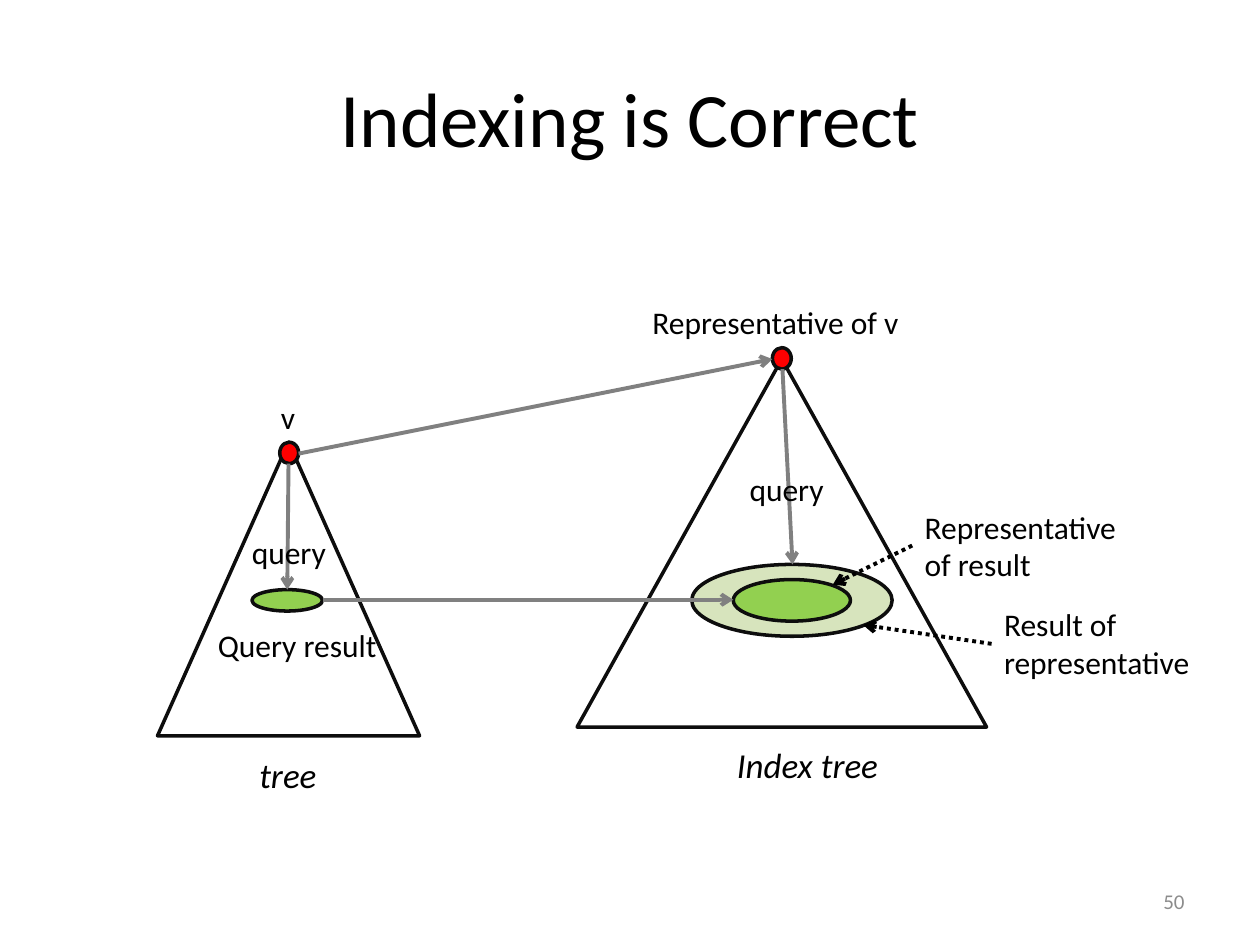
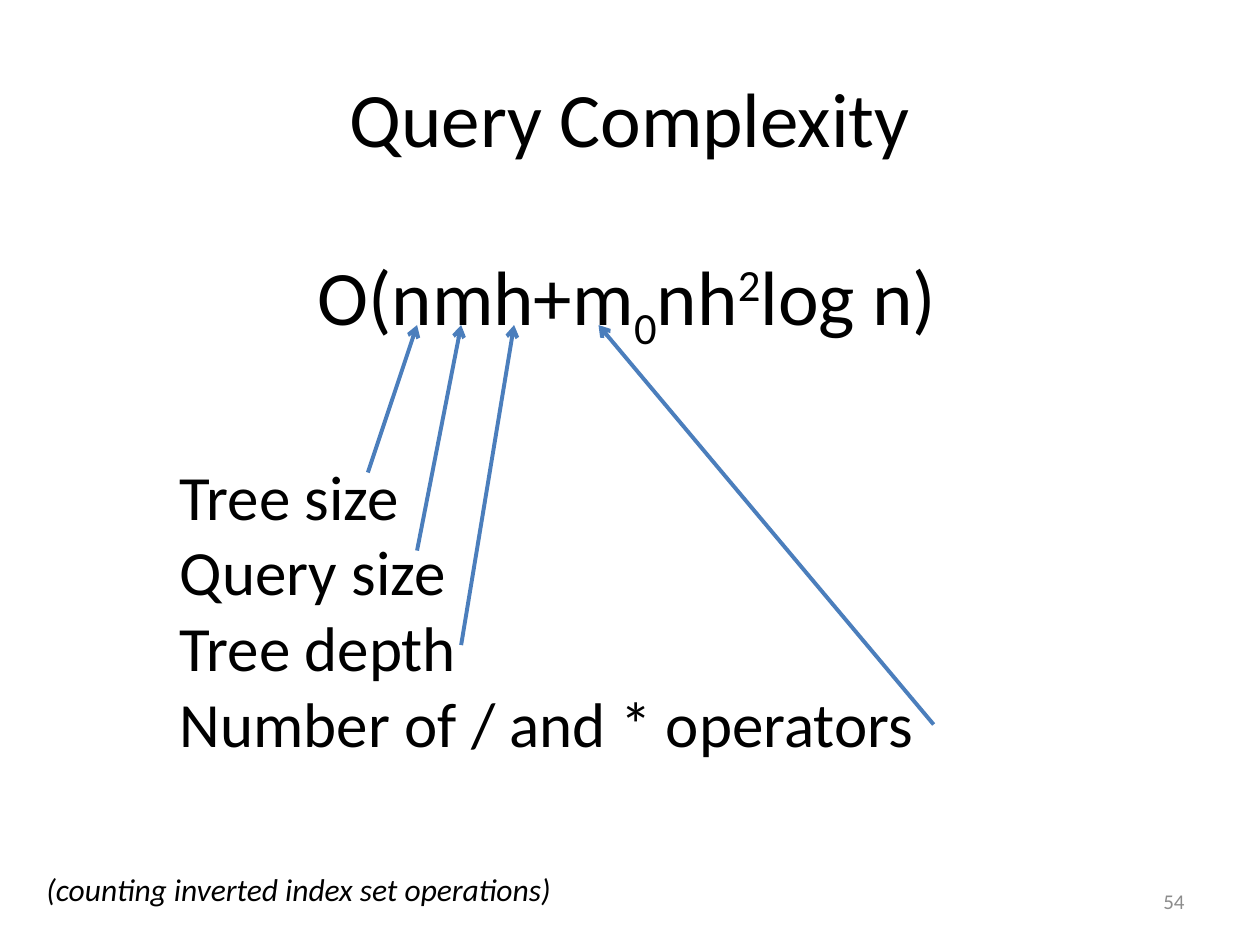
from lxml import etree
from pptx import Presentation
from pptx.dml.color import RGBColor
from pptx.enum.dml import MSO_LINE as DASH
from pptx.enum.shapes import MSO_CONNECTOR as CONN, MSO_SHAPE as SHAPE
from pptx.enum.text import MSO_ANCHOR as ANCHOR, MSO_AUTO_SIZE as FIT, PP_ALIGN as ALIGN
from pptx.oxml.ns import qn
from pptx.util import Emu, Pt

PX = 9144
FONT = "Calibri"
BLACK = RGBColor(0x00, 0x00, 0x00)
INK = RGBColor(0x0D, 0x0D, 0x0D)
GRAY = RGBColor(0x80, 0x80, 0x80)
NUMBER_GRAY = RGBColor(0x8C, 0x8C, 0x8C)
BLUE = RGBColor(0x4B, 0x7E, 0xBC)
RED = RGBColor(0xFF, 0x00, 0x00)
GREEN = RGBColor(0x92, 0xD0, 0x50)
PALE_GREEN = RGBColor(0xD7, 0xE4, 0xBD)


def emu(*lengths):
    return [Emu(n * PX) for n in lengths]


def add_text(p, text, size=18, color=BLACK, italic=False, baseline=0):
    for i, line in enumerate(text.split("\n")):
        if i:
            p.add_line_break()
        r = p.add_run()
        r.text = line
        r.font.name = FONT
        r.font.size = Pt(size)
        r.font.italic = italic
        r.font.color.rgb = color
        if baseline:
            r.font._element.set("baseline", str(baseline * 1000))


class Deck:
    def __init__(self):
        self.prs = Presentation()
        self.prs.slide_width, self.prs.slide_height = emu(1000, 750)
        self.s = None

    def slide(self, title, number):
        self.s = self.prs.slides.add_slide(self.prs.slide_layouts[6])
        self.text((50, 30, 900, 125), title, size=44, align=ALIGN.CENTER,
                  anchor=ANCHOR.MIDDLE, wrap=True)
        self.text((717, 695, 233, 40), str(number), size=12, color=NUMBER_GRAY,
                  align=ALIGN.RIGHT, anchor=ANCHOR.MIDDLE, wrap=True)

    def text(self, box, *paragraphs, align=ALIGN.LEFT, anchor=ANCHOR.TOP,
             wrap=False, **style):
        tf = self.s.shapes.add_textbox(*emu(*box)).text_frame
        tf.word_wrap = wrap
        tf.auto_size = FIT.NONE if wrap else FIT.SHAPE_TO_FIT_TEXT
        tf.vertical_anchor = anchor
        for i, parts in enumerate(paragraphs):
            p = tf.add_paragraph() if i else tf.paragraphs[0]
            p.alignment = align
            if isinstance(parts, str):
                parts = [(parts, 0)]
            for part, baseline in parts:
                add_text(p, part, baseline=baseline, **style)

    def shape(self, kind, box, fill=None):
        sp = self.s.shapes.add_shape(kind, *emu(*box))
        sp.shadow.inherit = False
        if fill is None:
            sp.fill.background()
        else:
            sp.fill.solid()
            sp.fill.fore_color.rgb = fill
        sp.line.color.rgb = INK
        sp.line.width = Pt(2)

    def arrow(self, start, end, color, dash=None):
        sp = self.s.shapes.add_connector(CONN.STRAIGHT, *emu(*start, *end))
        sp.line.color.rgb = color
        sp.line.width = Pt(2.25)
        if dash:
            sp.line.dash_style = dash
        etree.SubElement(sp.line._get_or_add_ln(), qn("a:tailEnd"), type="arrow")
        etree.SubElement(sp._element.spPr, qn("a:effectLst"))

    def save(self):
        self.prs.save("out.pptx")


def indexing(deck):
    deck.slide("Indexing is Correct", 50)
    deck.shape(SHAPE.OVAL, (549, 448, 159, 57), PALE_GREEN)
    for tree in [(125, 351, 208, 233), (458, 285, 325, 292)]:
        deck.shape(SHAPE.ISOSCELES_TRIANGLE, tree)
    for box, name in [((196, 593, 66, 44), "tree"),
                      ((575, 585, 133, 44), "Index tree")]:
        deck.text(box, name, size=20, italic=True)
    for root in [(222, 351, 15, 17), (613, 276, 15, 17)]:
        deck.shape(SHAPE.OVAL, root, RED)
    for result in [(200, 468, 56, 17), (582, 460, 93, 33)]:
        deck.shape(SHAPE.OVAL, result, GREEN)
    for start, end in [((237, 360), (613, 285)), ((229, 368), (228, 468)),
                       ((621, 293), (629, 448)), ((256, 476), (582, 476))]:
        deck.arrow(start, end, GRAY)
    for box in [(190, 418, 110, 40), (585, 368, 108, 40)]:
        deck.text(box, "query", wrap=True)
    for box, label in [
        ((213, 311, 32, 40), "v"),
        ((508, 236, 218, 40), "Representative of v"),
        ((163, 492, 148, 40), "Query result"),
        ((787, 475, 175, 71), "Result of\nrepresentative"),
        ((724, 398, 174, 71), "Representative\nof result"),
    ]:
        deck.text(box, label)
    for start, end in [((787, 511), (685, 496)), ((724, 433), (661, 464))]:
        deck.arrow(start, end, BLACK, dash=DASH.ROUND_DOT)


def complexity(deck):
    deck.slide("Query Complexity", 54)
    deck.text((242, 192, 522, 84),
              [("O(nmh+m", 0), ("0", -25), ("nh", 0), ("2", 30), ("log n)", 0)],
              size=44)
    deck.text((133, 358, 607, 252), "Tree size", "Query size", "Tree depth",
              "Number of / and * operators", size=36)
    for start, symbol_x in [((292, 375), 331), ((331, 437), 366),
                            ((366, 512), 408), ((741, 575), 475)]:
        deck.arrow(start, (symbol_x, 258), BLUE)
    deck.text((27, 686, 430, 40), "(counting inverted index set operations)",
              italic=True)


def main():
    deck = Deck()
    indexing(deck)
    complexity(deck)
    deck.save()


if __name__ == "__main__":
    main()
